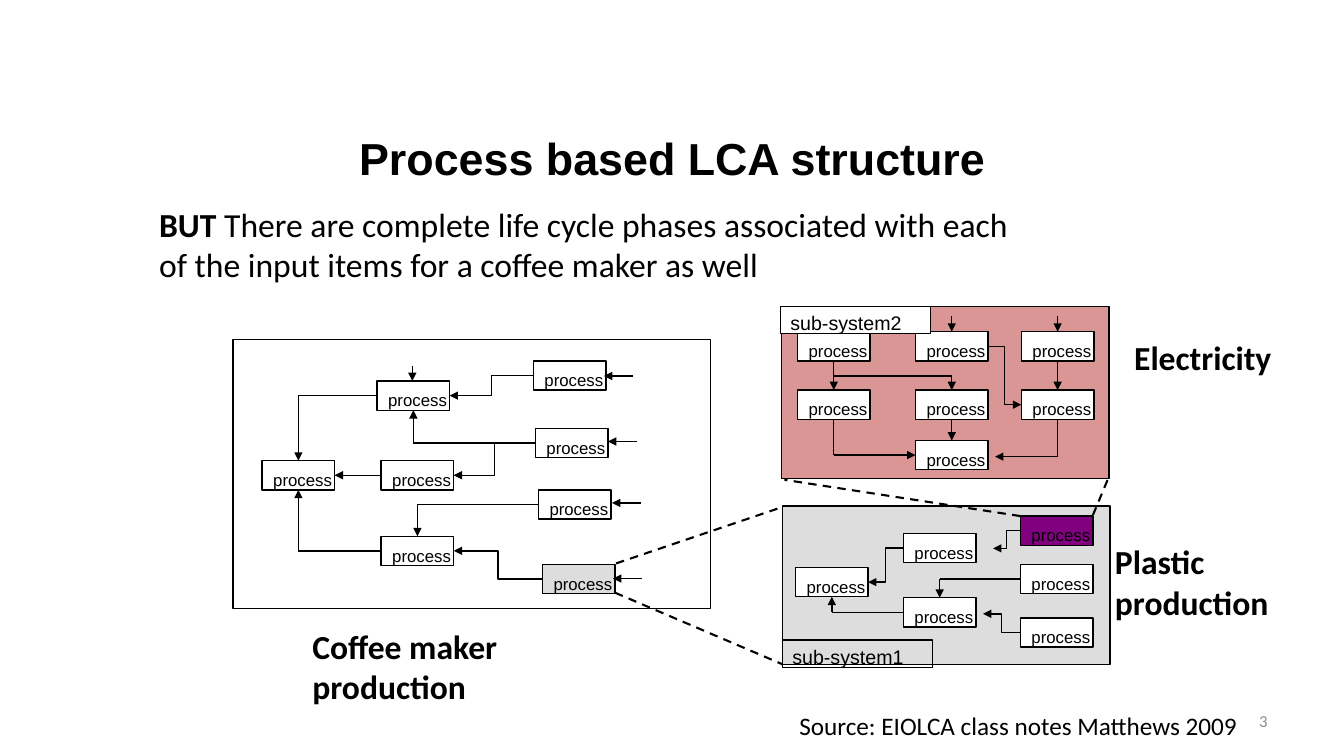
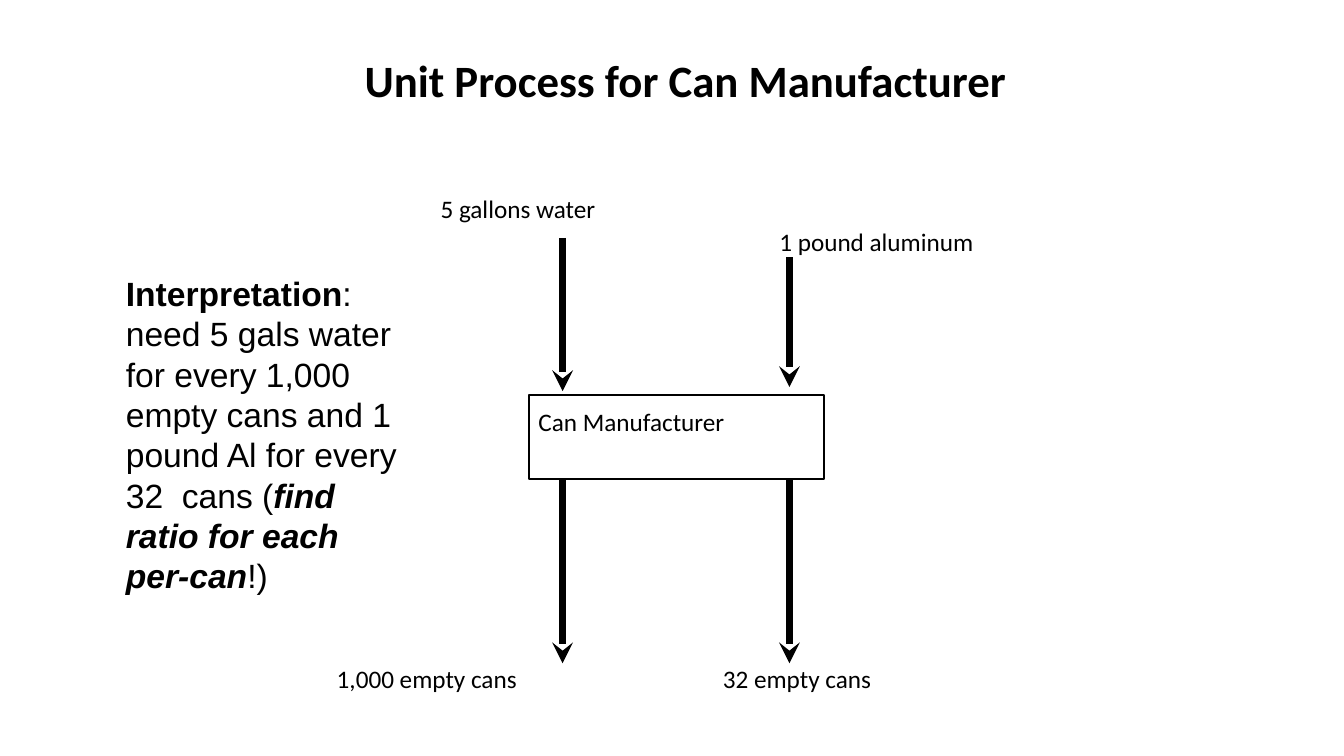
from pptx import Presentation
from pptx.dml.color import RGBColor
from pptx.enum.dml import MSO_LINE
from pptx.enum.shapes import MSO_CONNECTOR as LINK, MSO_SHAPE
from pptx.enum.text import MSO_ANCHOR as ANCHOR, PP_ALIGN as ALIGN
from pptx.oxml.ns import qn
from pptx.oxml.xmlchemy import OxmlElement
from pptx.util import Inches, Pt

INK, PAPER, GREY, ROSE, PURPLE, FAINT = (
    "000000", "FFFFFF", "DDDDDD", "D99694", "800080", "8C8C8C")
HEADING, BODY = "Arial", "Calibri"
TOP, LEFT, BOTTOM, RIGHT = range(4)
SITES = {TOP: (0.5, 0), LEFT: (0, 0.5), BOTTOM: (0.5, 1), RIGHT: (1, 0.5)}


def color(code):
    return RGBColor.from_string(code)


class Sketch:
    """Holds the deck style and draws elements on the current slide."""

    def __init__(self):
        self.deck = Presentation()
        self.deck.slide_width = Inches(13.33)
        self.deck.slide_height = Inches(7.5)

    def new_slide(self):
        page = self.deck.slides.add_slide(self.deck.slide_layouts[6])
        self.shapes = page.shapes

    def set_text(self, shape, paragraphs, size, font=BODY, bold=False, tint=INK,
                 align=ALIGN.LEFT, anchor=ANCHOR.TOP,
                 insets=(0.1, 0.05, 0.1, 0.05)):
        frame = shape.text_frame
        frame.word_wrap = True
        frame.vertical_anchor = anchor
        for side, inset in zip(("left", "top", "right", "bottom"), insets):
            setattr(frame, f"margin_{side}", Inches(inset))
        for index, runs in enumerate(paragraphs):
            para = frame.add_paragraph() if index else frame.paragraphs[0]
            para.alignment = align
            for text, changes in runs:
                span = para.add_run()
                span.text = text
                style = {"name": font, "size": Pt(size), "bold": bold} | changes
                for name, value in style.items():
                    setattr(span.font, name, value)
                span.font.color.rgb = color(tint)

    def text(self, place, content, size=24, **style):
        box = self.shapes.add_textbox(*map(Inches, place))
        paragraphs = [[(content, {})]] if isinstance(content, str) else content
        self.set_text(box, paragraphs, size, **style)

    def title(self, place, content, font):
        self.text(place, content, 32, font=font, bold=True,
                  align=ALIGN.CENTER, anchor=ANCHOR.MIDDLE)

    def box(self, place, fill=PAPER, weight=1.0, label=None, **style):
        shape = self.shapes.add_shape(MSO_SHAPE.RECTANGLE, *map(Inches, place))
        shape.shadow.inherit = False
        if fill:
            shape.fill.solid()
            shape.fill.fore_color.rgb = color(fill)
        else:
            shape.fill.background()
        shape.line.color.rgb = color(INK)
        shape.line.width = Pt(weight)
        if label:
            self.set_text(shape, [[(label, {})]], **style)
        return shape

    def process(self, left, top, fill=PAPER):
        return self.box((left, top, 0.72, 0.29), fill, label="process",
                        size=12, font=HEADING, insets=(0.11, 0.09, 0, 0))

    def point(self, end):
        first, second = end
        if isinstance(first, (int, float)):
            return Inches(first), Inches(second)
        across, down = SITES[second]
        return (int(first.left + across * first.width),
                int(first.top + down * first.height))

    def link(self, begin, end, kind=LINK.STRAIGHT, weight=1.0, arrow="triangle",
             dash=None):
        line = self.shapes.add_connector(kind, *begin, *end)
        line.line.color.rgb = color(INK)
        line.line.width = Pt(weight)
        if dash:
            line.line.dash_style = dash
        properties = line.element.find(qn("p:spPr"))
        if arrow:
            tip = OxmlElement("a:tailEnd")
            tip.set("type", arrow)
            properties.find(qn("a:ln")).append(tip)
        properties.append(OxmlElement("a:effectLst"))
        return line

    def straight(self, start, end, **style):
        self.link(self.point(start), self.point(end), **style)

    def dashed(self, start, end):
        self.straight(start, end, weight=1.5, arrow=None, dash=MSO_LINE.DASH)

    def elbow(self, start, end):
        line = self.link(self.point(start), self.point(end), LINK.ELBOW)
        for glue, (target, site) in ((line.begin_connect, start),
                                     (line.end_connect, end)):
            if not isinstance(target, (int, float)):
                glue(target, site)

    def corner(self, start, end):
        begin, finish = self.point(start), self.point(end)
        upright = start[1] == BOTTOM
        bend = (begin[0], finish[1]) if upright else (finish[0], begin[1])
        self.link(begin, bend, arrow=None)
        self.link(bend, finish)


def draw_coffee_maker(sketch):
    sketch.box((2.31, 3.37, 4.74, 2.67))
    assembly = sketch.process(2.6, 4.57)
    upper = sketch.process(3.74, 3.78)
    middle = sketch.process(3.78, 4.57)
    lower = sketch.process(3.78, 5.32)
    inputs = [sketch.process(left, top, fill) for left, top, fill in (
        (5.29, 3.58, PAPER), (5.31, 4.25, PAPER),
        (5.34, 4.86, PAPER), (5.38, 5.6, GREY))]
    first, second, third, plastic = inputs
    for start, end in (((upper, LEFT), (assembly, TOP)),
                       ((lower, LEFT), (assembly, BOTTOM)),
                       ((second, LEFT), (upper, BOTTOM)),
                       ((third, LEFT), (lower, TOP))):
        sketch.corner(start, end)
    for source, target in ((first, upper), (second, middle), (plastic, lower)):
        sketch.elbow((source, LEFT), (target, RIGHT))
    sketch.straight((middle, LEFT), (assembly, RIGHT))
    sketch.straight((4.09, 3.63), (4.09, 3.78))
    for left, height in ((6.28, 3.73), (6.32, 4.38), (6.36, 4.99), (6.37, 5.74)):
        sketch.straight((left, height), (left - 0.29, height))


def draw_plastic(sketch):
    sketch.box((7.76, 5.02, 3.25, 1.57), GREY)
    result = sketch.process(7.89, 5.63)
    upper = sketch.process(8.96, 5.29)
    lower = sketch.process(8.96, 5.93)
    power = sketch.process(10.12, 5.12, PURPLE)
    middle = sketch.process(10.12, 5.6)
    last = sketch.process(10.12, 6.13)
    sketch.elbow((upper, LEFT), (result, RIGHT))
    sketch.corner((lower, LEFT), (result, BOTTOM))
    sketch.elbow((power, LEFT), (9.85, 5.44))
    sketch.corner((middle, LEFT), (lower, TOP))
    sketch.elbow((last, LEFT), (9.75, 6.09))


def draw_electricity(sketch):
    sketch.box((7.75, 3.04, 3.25, 1.71), ROSE)
    columns = (7.91, 9.08, 10.13)
    upper = [sketch.process(left, 3.29) for left in columns]
    lower = [sketch.process(left, 3.87) for left in columns]
    result = sketch.process(columns[1], 4.37)
    for source, target, weight in ((upper[0], lower[0], 1),
                                   (upper[2], lower[2], 0.75),
                                   (lower[1], result, 0.75)):
        sketch.straight((source, BOTTOM), (target, TOP), weight=weight)
    sketch.straight((8.27, 3.73), (9.44, 3.73), arrow=None)
    sketch.straight((9.44, 3.73), (lower[1], TOP))
    sketch.elbow((upper[1], RIGHT), (lower[2], LEFT))
    sketch.corner((lower[0], BOTTOM), (result, LEFT))
    sketch.corner((lower[2], BOTTOM), (9.87, 4.53))
    for target, left in zip(upper[1:], (9.44, 10.49)):
        sketch.straight((left, 3.14), (target, TOP))


def draw_structure(sketch):
    sketch.new_slide()
    sketch.title((0.67, 0.98, 12, 1.17), "Process based LCA structure", HEADING)
    for draw_system in (draw_coffee_maker, draw_plastic, draw_electricity):
        draw_system(sketch)
    for left, top, fill, label in ((7.76, 6.35, None, "sub-system1"),
                                   (7.74, 3.04, PAPER, "sub-system2")):
        sketch.box((left, top, 1.49, 0.27), fill, label=label, size=14,
                   font=HEADING)
    for start, end in (((6.11, 5.59), (7.76, 5.03)), ((6.1, 5.88), (7.76, 6.59)),
                       ((10.12, 5.12), (7.78, 4.76)),
                       ((10.84, 5.11), (10.99, 4.75))):
        sketch.dashed(start, end)
    sketch.text((7.83, 7, 4.83, 0.4), "Source: EIOLCA class notes Matthews 2009", 18)
    sketch.text((9.56, 6.95, 3.11, 0.4), "3", 12, tint=FAINT,
                align=ALIGN.RIGHT, anchor=ANCHOR.MIDDLE)
    sketch.text((1.48, 1.97, 8.79, 0.91), [[
        ("BUT", {"bold": True}),
        (" There are complete life cycle phases associated with each of the "
         "input items for a coffee maker as well", {})]])
    sketch.text((3, 6.16, 2.19, 0.91), "Coffee maker production", bold=True)
    sketch.text((11.15, 3.29, 2.18, 0.5), "Electricity", bold=True)
    sketch.text((10.96, 5.32, 2.19, 0.91),
                [[("Plastic", {})], [("production", {})]], bold=True)


def draw_unit_process(sketch):
    sketch.new_slide()
    sketch.title((2.34, 0.25, 8.92, 1.08), "Unit Process for Can Manufacturer", BODY)
    sketch.box((5.25, 3.92, 2.92, 0.83), None, 1.54, "Can Manufacturer",
               size=18, insets=(0.09, 0.11, 0, 0))
    for left, top, label in ((4.37, 1.92, "5 gallons water"),
                             (7.73, 2.25, "1 pound aluminum"),
                             (3.34, 6.58, "1,000 empty cans"),
                             (7.17, 6.58, "32 empty cans")):
        sketch.text((left, top, 2.2, 0.3), label, 18, insets=(0, 0, 0, 0))
    sketch.text((1.15, 2.66, 2.92, 3.33), [[
        ("Interpretation", {"bold": True}),
        (":  need 5 gals water for every 1,000 empty cans and 1 pound Al "
         "for every 32  cans (", {}),
        ("find ratio for each per-can", {"bold": True, "italic": True}),
        ("!)", {})]], font=HEADING)
    for left, top, bottom in ((5.58, 2.36, 3.88), (7.83, 2.55, 3.84),
                              (5.58, 4.75, 6.58), (7.83, 4.75, 6.58)):
        sketch.straight((left, top), (left, bottom), weight=5, arrow="stealth")


def main():
    sketch = Sketch()
    draw_structure(sketch)
    draw_unit_process(sketch)
    sketch.deck.save("out.pptx")


if __name__ == "__main__":
    main()
